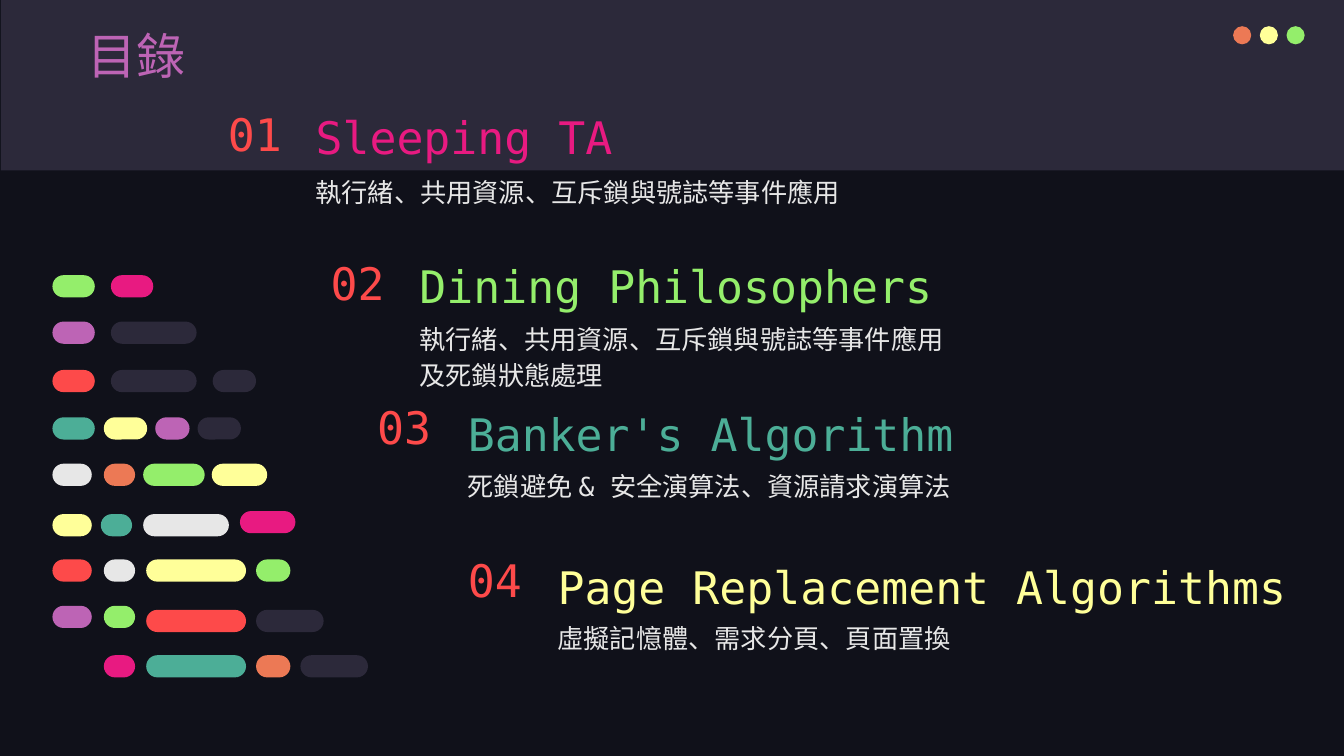
from dataclasses import dataclass

from pptx import Presentation
from pptx.dml.color import RGBColor
from pptx.enum import shapes, text
from pptx.util import Inches, Pt


@dataclass(frozen=True)
class Theme:
    font: str = "DejaVu Sans Mono"
    title_size: float = 35
    heading_size: float = 32
    body_size: float = 18.7
    night: str = "10111A"
    slate: str = "2C293A"
    white: str = "E7E7E7"
    red: str = "FD4A4A"
    orange: str = "EC7955"
    yellow: str = "FFFF99"
    green: str = "94EE6B"
    teal: str = "4CAE97"
    purple: str = "BD64B5"
    pink: str = "E81A81"


T = Theme()


def add_block(parent, kind, left, top, width, height, color):
    """Add a flat, borderless shape to a slide or a group."""
    sp = parent.shapes.add_shape(
        kind, Inches(left), Inches(top), Inches(width), Inches(height))
    sp.fill.solid()
    sp.fill.fore_color.rgb = RGBColor.from_string(color)
    sp.line.fill.background()
    sp.shadow.inherit = False
    return sp


def write(sp, box, words, size, color, anchor, spacing=1.0):
    """Place a text shape and give it one unbulleted paragraph."""
    sp.left, sp.top, sp.width, sp.height = map(Inches, box)
    tf = sp.text_frame
    tf.margin_left = tf.margin_right = Inches(0.13)
    tf.margin_top = tf.margin_bottom = Inches(0.13)
    tf.word_wrap = True
    tf.auto_size = text.MSO_AUTO_SIZE.NONE
    tf.vertical_anchor = anchor
    p = tf.paragraphs[0]
    p.text = words
    p.alignment = text.PP_ALIGN.LEFT
    p.line_spacing = spacing
    p.space_before = Pt(0)
    p.font.name = T.font
    p.font.size = Pt(size)
    p.font.bold = False
    p.font.color.rgb = RGBColor.from_string(color)
    pPr = p._p.get_or_add_pPr()
    pPr.set("marL", "0")
    pPr.set("indent", "0")
    bullet = pPr.makeelement(
        "{http://schemas.openxmlformats.org/drawingml/2006/main}buNone", {})
    pPr.insert_element_before(bullet, "a:tabLst", "a:defRPr", "a:extLst")


prs = Presentation()
prs.slide_width, prs.slide_height = Inches(13.33), Inches(7.5)
s = prs.slides.add_slide(prs.slide_layouts.get_by_name("Comparison"))
s.background.fill.solid()
s.background.fill.fore_color.rgb = RGBColor.from_string(T.night)

# Header band behind the placeholders, with three window buttons
band = add_block(s, shapes.MSO_SHAPE.RECTANGLE, 0.01, 0, 13.32, 1.69, T.slate)
s.shapes._spTree.insert(2, band._element)
buttons = s.shapes.add_group_shape()
for i, color in enumerate((T.orange, T.yellow, T.green)):
    add_block(buttons, shapes.MSO_SHAPE.OVAL, 12.23 + 0.265 * i, 0.26, 0.18, 0.18, color)

# Code-like bars: top of the row, then left, width and color of each bar
bar_rows = [
    (2.73, [(0.52, 0.42, T.green), (1.10, 0.42, T.pink)]),
    (3.19, [(0.52, 0.42, T.purple), (1.10, 0.85, T.slate)]),
    (3.67, [(0.52, 0.42, T.red), (1.10, 0.85, T.slate), (2.11, 0.43, T.slate)]),
    (4.14, [(0.52, 0.42, T.teal), (1.03, 0.43, T.yellow),
            (1.54, 0.34, T.purple), (1.96, 0.43, T.slate)]),
    (4.60, [(0.52, 0.39, T.white), (1.03, 0.31, T.orange),
            (1.42, 0.61, T.green), (2.10, 0.55, T.yellow)]),
    (5.10, [(0.52, 0.39, T.yellow), (1.00, 0.31, T.teal), (1.42, 0.85, T.white)]),
    (5.07, [(2.38, 0.55, T.pink)]),
    (5.55, [(0.52, 0.39, T.red), (1.03, 0.31, T.white),
            (1.45, 0.99, T.yellow), (2.54, 0.34, T.green)]),
    (6.01, [(0.52, 0.39, T.purple), (1.03, 0.31, T.green)]),
    (6.05, [(1.45, 0.99, T.red), (2.54, 0.67, T.slate)]),
    (6.50, [(1.03, 0.31, T.pink), (1.45, 0.99, T.teal),
            (2.54, 0.34, T.orange), (2.98, 0.67, T.slate)]),
]
bars = s.shapes.add_group_shape()
for top, row in bar_rows:
    for left, width, color in row:
        bar = add_block(bars, shapes.MSO_SHAPE.ROUNDED_RECTANGLE, left, top, width, 0.22, color)
        bar.adjustments[0] = 0.5

TOP, MIDDLE, BOTTOM = (text.MSO_ANCHOR.TOP, text.MSO_ANCHOR.MIDDLE,
                       text.MSO_ANCHOR.BOTTOM)
write(s.shapes.title, (0.74, 0.12, 11.24, 0.84), "目錄", T.title_size, T.purple, TOP)

# Contents: number left, heading left, top, number height, description top
chapters = [
    (2.13, 3.00, 1.04, 0.57, 1.57, T.pink, "Sleeping TA",
     "執行緒、共用資源、互斥鎖與號誌等事件應用"),
    (3.15, 4.03, 2.52, 0.57, 3.03, T.green, "Dining Philosophers",
     "執行緒、共用資源、互斥鎖與號誌等事件應用\n及死鎖狀態處理"),
    (3.61, 4.51, 3.99, 0.48, 4.49, T.teal, "Banker's Algorithm",
     "死鎖避免 & 安全演算法、資源請求演算法"),
    (4.51, 5.40, 5.51, 0.48, 6.00, T.yellow, "Page Replacement Algorithms",
     "虛擬記憶體、需求分頁、頁面置換"),
]
for i, chapter in enumerate(chapters, 1):
    number_left, left, top, number_height, body_top, color, heading, body = chapter
    number_box = s.shapes.add_textbox(0, 0, 0, 0)
    write(number_box, (number_left, top, 0.88, number_height), f"{i:02}",
          T.heading_size, T.red, MIDDLE)
    write(s.placeholders[i], (left, top, 7.65, 0.71), heading,
          T.heading_size, color, BOTTOM, 1.15)
    body_box = s.shapes.add_textbox(0, 0, 0, 0)
    write(body_box, (left, body_top, 6.14, 0.84), body,
          T.body_size, T.white, TOP, 1.15)

for ph in list(s.placeholders):
    if not ph.text_frame.text:
        ph._element.getparent().remove(ph._element)

prs.save("out.pptx")
